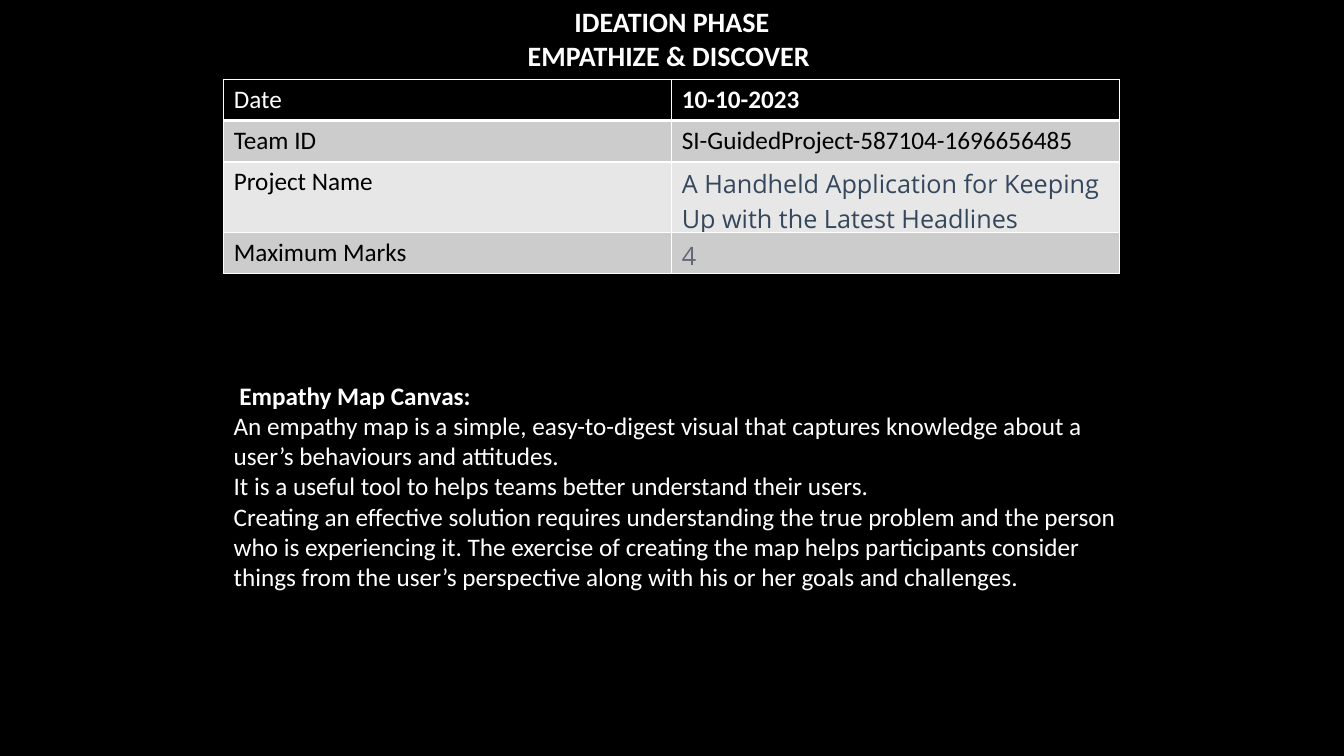
from pptx import Presentation
from pptx.dml.color import RGBColor
from pptx.enum.text import MSO_ANCHOR, PP_ALIGN
from pptx.oxml import parse_xml
from pptx.oxml.ns import nsdecls
from pptx.util import Cm, Pt

BLACK = RGBColor(0x00, 0x00, 0x00)
WHITE = RGBColor(0xFF, 0xFF, 0xFF)
DARK_BAND = RGBColor(0xCC, 0xCC, 0xCC)
LIGHT_BAND = RGBColor(0xE7, 0xE7, 0xE7)
SLATE = RGBColor(0x35, 0x47, 0x5C)
GREY = RGBColor(0x61, 0x68, 0x73)

TITLE = {"name": "Calibri", "size": Pt(20), "bold": True}
BODY = {"name": "Calibri", "size": Pt(18), "bold": False}
BOLD = {**BODY, "bold": True}
VALUE = {**BODY, "name": "Open Sans"}

LEFT = Cm(5.64)
ROW_HEIGHT = Cm(1.04)
PROJECT_HEIGHT = Cm(1.77)

DETAILS = [
    ("Date ", BODY, "10-10-2023", BOLD, WHITE, WHITE, BLACK),
    ("Team ID ", BODY, "SI-GuidedProject-587104-1696656485", BODY, BLACK, BLACK, DARK_BAND),
    ("Project Name ", BODY, "A Handheld Application for Keeping Up with the Latest Headlines",
     VALUE, BLACK, SLATE, LIGHT_BAND),
    ("Maximum Marks ", BODY, "4", VALUE, BLACK, GREY, DARK_BAND),
]
EMPATHY = [
    (" Empathy Map Canvas: ", BOLD),
    ("An empathy map is a simple, easy-to-digest visual that captures knowledge "
     "about a user’s behaviours and attitudes. ", BODY),
    ("It is a useful tool to helps teams better understand their users. ", BODY),
    ("Creating an effective solution requires understanding the true problem and "
     "the person who is experiencing it. The exercise of creating the map helps "
     "participants consider things from the user’s perspective along with his or "
     "her goals and challenges. ", BODY),
]


def add_run(p, text, style, color):
    """Add a run with the given font values and colour."""
    r = p.add_run()
    r.text = text
    for key, value in style.items():
        setattr(r.font, key, value)
    r.font.color.rgb = color


def add_text(s, box, paragraphs, align):
    """Add a wrapped text box with one white run per paragraph."""
    tf = s.shapes.add_textbox(*box).text_frame
    tf.word_wrap = True
    for i, (text, style) in enumerate(paragraphs):
        p = tf.add_paragraph() if i else tf.paragraphs[0]
        p.alignment = align
        add_run(p, text, style, WHITE)


def set_borders(cell, widths):
    """Give a cell white borders with the given widths by side."""
    props = cell._tc.get_or_add_tcPr()
    for i, (side, width) in enumerate(widths.items()):
        props.insert(i, parse_xml(
            f'<a:ln{side} {nsdecls("a")} w="{Pt(width)}"><a:solidFill>'
            f'<a:srgbClr val="{WHITE}"/></a:solidFill></a:ln{side}>'))


def fill_cell(cell, text, style, color, fill, widths):
    """Write one table cell with its fill and borders."""
    cell.fill.solid()
    cell.fill.fore_color.rgb = fill
    add_run(cell.text_frame.paragraphs[0], text, style, color)
    if style is VALUE:
        cell.vertical_anchor = MSO_ANCHOR.MIDDLE
        cell.margin_bottom = 0
    set_borders(cell, widths)


def add_details(s):
    """Add the table of project details."""
    rows = len(DETAILS)
    table = s.shapes.add_table(rows, 2, LEFT, Cm(2), Cm(22.58), ROW_HEIGHT * rows).table
    for i, (label, label_style, value, value_style, label_color, value_color, fill) in enumerate(DETAILS):
        table.rows[i].height = PROJECT_HEIGHT if label == "Project Name " else ROW_HEIGHT
        widths = {"L": 1, "R": 1, "T": 3 if i == 1 else 1, "B": 3 if i == 0 else 1}
        fill_cell(table.cell(i, 0), label, label_style, label_color, fill, widths)
        fill_cell(table.cell(i, 1), value, value_style, value_color, fill, widths)


def main():
    """Build the slide and save it."""
    prs = Presentation()
    prs.slide_width, prs.slide_height = Cm(33.87), Cm(19.05)
    s = prs.slides.add_slide(prs.slide_layouts[6])
    s.background.fill.solid()
    s.background.fill.fore_color.rgb = BLACK
    add_text(s, (0, 0, prs.slide_width, Cm(1.96)),
             [(" IDEATION PHASE ", TITLE), ("EMPATHIZE & DISCOVER ", TITLE)], PP_ALIGN.CENTER)
    add_details(s)
    add_text(s, (LEFT, Cm(9.45), Cm(23.01), Cm(5.72)), EMPATHY, PP_ALIGN.LEFT)
    prs.save("out.pptx")


main()
